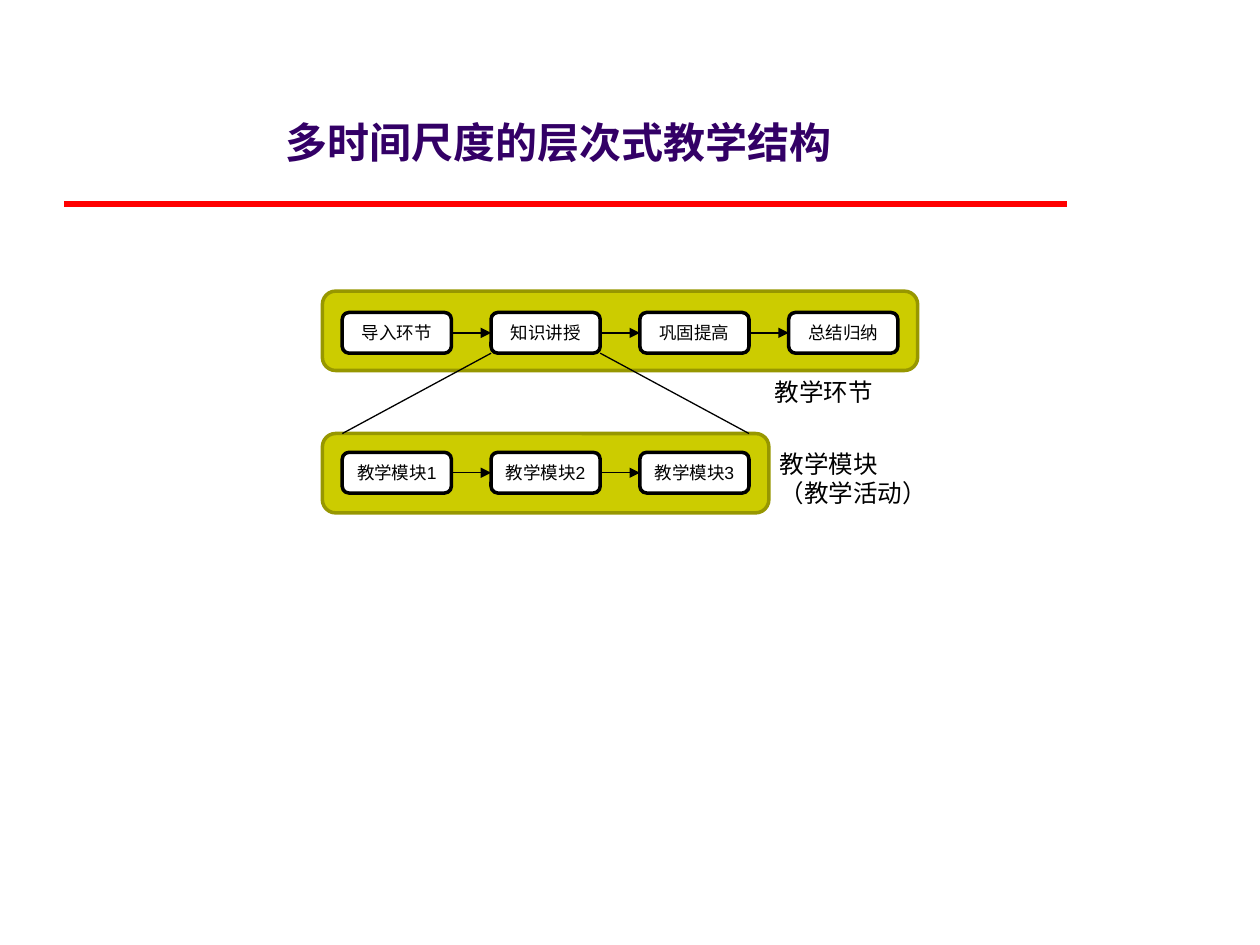
from lxml import etree
from pptx import Presentation
from pptx import util as u
from pptx.dml.color import RGBColor
from pptx.enum import shapes, text
from pptx.oxml.ns import qn

RED = RGBColor(0xFF, 0x00, 0x00)
PURPLE = RGBColor(0x33, 0x00, 0x66)
OLIVE = RGBColor(0xCC, 0xCC, 0x00)
DARK_OLIVE = RGBColor(0x97, 0x97, 0x00)
BLACK = RGBColor(0x00, 0x00, 0x00)
WHITE = RGBColor(0xFF, 0xFF, 0xFF)

# Grid in cm
LEFT, STEP = 6.5, 3.0
BAND_H = 1.6
STEP_W, STEP_H = 2.2, 0.82
STEP_X = LEFT + (STEP - STEP_W) / 2

prs = Presentation()
prs.slide_width, prs.slide_height = u.Cm(25.4), u.Cm(19.05)
slide = prs.slides.add_slide(prs.slide_layouts[6])


def add_line(x1, y1, x2, y2, color=BLACK, width=0.75, arrow=False):
    line = slide.shapes.add_connector(
        shapes.MSO_CONNECTOR.STRAIGHT, u.Cm(x1), u.Cm(y1), u.Cm(x2), u.Cm(y2))
    line.line.color.rgb = color
    line.line.width = u.Pt(width)
    if arrow:
        etree.SubElement(line.line._get_or_add_ln(), qn("a:tailEnd"), type="triangle")
    etree.SubElement(line._element.spPr, qn("a:effectLst"))


def add_run(paragraph, words, size, color=BLACK, bold=False):
    run = paragraph.add_run()
    run.text = words
    run.font.name = "Arial"
    run.font.size = u.Pt(size)
    run.font.bold = bold
    run.font.color.rgb = color


# Title and rule
add_line(1.3, 4.11, 21.51, 4.11, RED, 3)
title = slide.shapes.add_textbox(u.Cm(0.5), u.Cm(1.5), u.Cm(21.5), u.Cm(2)).text_frame
title.word_wrap = True
title.vertical_anchor = text.MSO_ANCHOR.BOTTOM
title.paragraphs[0].alignment = text.PP_ALIGN.CENTER
add_run(title.paragraphs[0], "多时间尺度的层次式教学结构", 24, PURPLE, True)

# Two levels: band top, step top, step names
levels = [
    (5.87, 6.3, ["导入环节", "知识讲授", "巩固提高", "总结归纳"]),
    (8.74, 9.12, ["教学模块1", "教学模块2", "教学模块3"]),
]
for band_top, step_top, names in levels:
    boxes = [(LEFT, band_top, STEP * len(names), BAND_H, OLIVE, DARK_OLIVE, "")]
    boxes += [(STEP_X + i * STEP, step_top, STEP_W, STEP_H, WHITE, BLACK, name)
              for i, name in enumerate(names)]
    for x, y, w, h, fill, border, name in boxes:
        box = slide.shapes.add_shape(
            shapes.MSO_SHAPE.ROUNDED_RECTANGLE, u.Cm(x), u.Cm(y), u.Cm(w), u.Cm(h))
        box.shadow.inherit = False
        box.fill.solid()
        box.fill.fore_color.rgb = fill
        box.line.color.rgb = border
        box.line.width = u.Pt(2)
        if name:
            box.text_frame.vertical_anchor = text.MSO_ANCHOR.MIDDLE
            box.text_frame.paragraphs[0].alignment = text.PP_ALIGN.CENTER
            add_run(box.text_frame.paragraphs[0], name, 10)
    # Arrows between neighbouring steps
    for i in range(1, len(names)):
        next_x = STEP_X + i * STEP
        middle = step_top + STEP_H / 2
        add_line(next_x - STEP + STEP_W, middle, next_x, middle, arrow=True)

# Second step opens out into the lower level
step_bottom, lower_top = levels[0][1] + STEP_H, levels[1][0]
add_line(STEP_X + STEP, step_bottom, STEP_X, lower_top)
add_line(STEP_X + STEP + STEP_W, step_bottom, STEP_X + 2 * STEP + STEP_W, lower_top)

# Level labels
labels = [
    (15.37, 7.47, 2.5, 0.86, ["教学环节"]),
    (15.47, 8.92, 3.5, 1.45, ["教学模块", "（教学活动）"]),
]
for x, y, w, h, rows in labels:
    label = slide.shapes.add_textbox(u.Cm(x), u.Cm(y), u.Cm(w), u.Cm(h)).text_frame
    label.word_wrap = False
    label.auto_size = text.MSO_AUTO_SIZE.SHAPE_TO_FIT_TEXT
    for i, row in enumerate(rows):
        add_run(label.add_paragraph() if i else label.paragraphs[0], row, 14)

prs.save("out.pptx")
